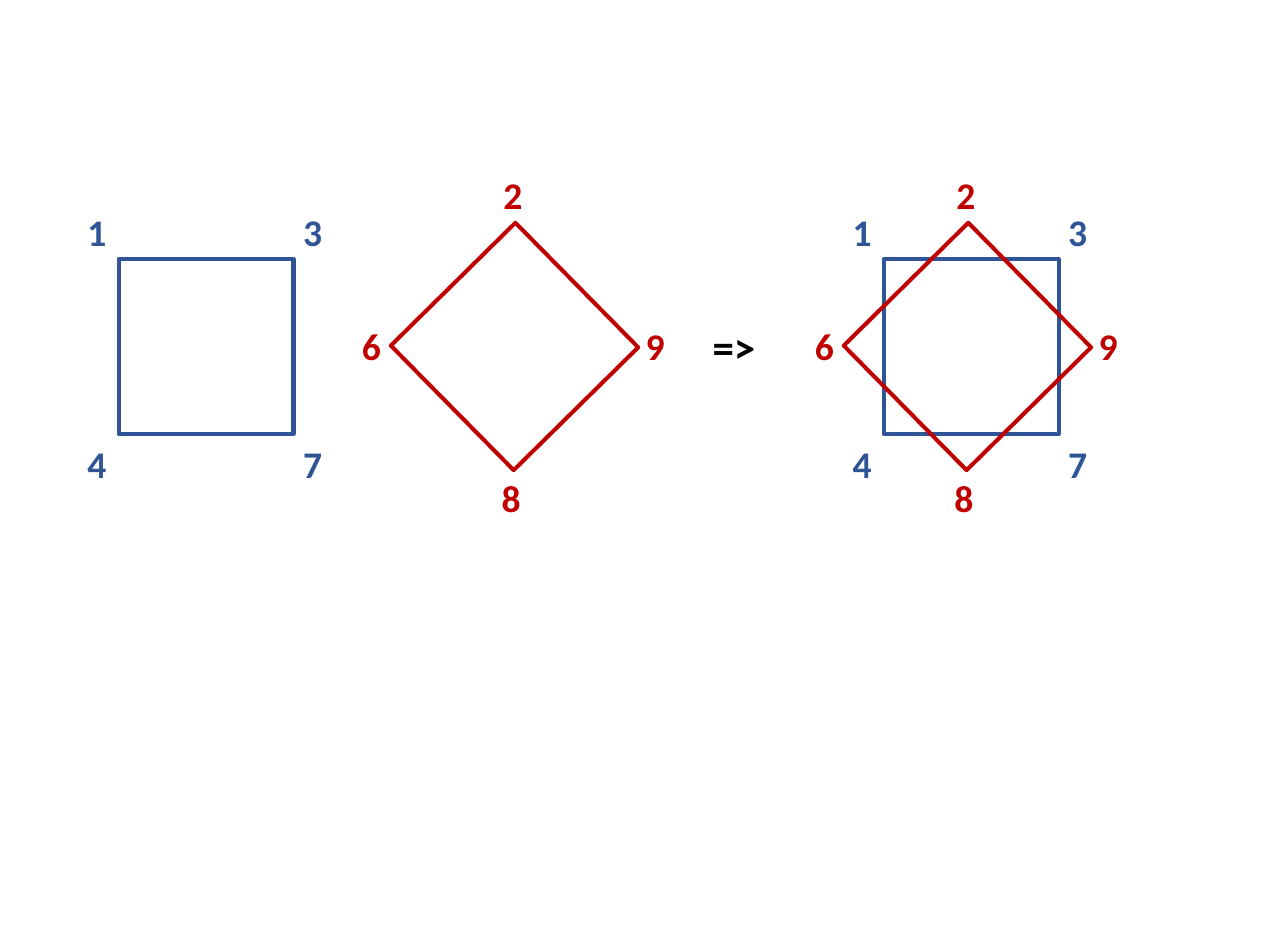
from pptx import Presentation
from pptx.dml.color import RGBColor
from pptx.enum.shapes import MSO_SHAPE as Preset
from pptx.enum.text import MSO_AUTO_SIZE as AutoSize
from pptx.util import Cm, Pt

COLORS = {"blue": "2F5597", "red": "C00000", "black": "000000"}
SLIDE_SIZE = (33.87, 25)
SIDE = 4.6
SQUARE_TOP = 6.81
LABEL_SIZE = (1.07, 1.45)
ARROW = ("=>", 18.49, 8.31, 2.11, 1.63)

# Label offsets are measured from the top left corner of the unrotated square.
FIGURES = {
    "square": {
        "color": "blue",
        "rotation": 0,
        "labels": [("1", -1.07, -1.45), ("3", SIDE, -1.45),
                   ("4", -1.07, 4.65), ("7", SIDE, 4.65)],
    },
    "diamond": {
        "color": "red",
        "rotation": 45.4,
        "labels": [("2", 1.76, -2.41), ("9", 5.5, 1.55),
                   ("8", 1.71, 5.54), ("6", -1.96, 1.55)],
    },
}
GROUPS = [
    [("square", 3.12)],
    [("diamond", 11.23)],
    [("square", 23.24), ("diamond", 23.14)],
]


def add_label(shapes, text, left, top, width, height, size, color):
    """Add a bold one-line text box."""
    box = shapes.add_textbox(Cm(left), Cm(top), Cm(width), Cm(height))
    text_frame = box.text_frame
    text_frame.text = text
    text_frame.word_wrap = False
    text_frame.auto_size = AutoSize.SHAPE_TO_FIT_TEXT
    font = text_frame.paragraphs[0].runs[0].font
    font.name = "Calibri"
    font.size = Pt(size)
    font.bold = True
    font.color.rgb = RGBColor.from_string(COLORS[color])


def add_figure(shapes, name, left):
    figure = FIGURES[name]
    shape = shapes.add_shape(Preset.RECTANGLE, Cm(left), Cm(SQUARE_TOP), Cm(SIDE), Cm(SIDE))
    shape.rotation = figure["rotation"]
    shape.shadow.inherit = False
    shape.fill.background()
    shape.line.color.rgb = RGBColor.from_string(COLORS[figure["color"]])
    shape.line.width = Pt(3)
    for text, across, down in figure["labels"]:
        add_label(shapes, text, left + across, SQUARE_TOP + down, *LABEL_SIZE, 28, figure["color"])


def main():
    presentation = Presentation()
    presentation.slide_width, presentation.slide_height = map(Cm, SLIDE_SIZE)
    slide = presentation.slides.add_slide(presentation.slide_layouts[6])
    add_label(slide.shapes, *ARROW, 32, "black")
    for figures in GROUPS:
        group = slide.shapes.add_group_shape()
        for name, left in figures:
            add_figure(group.shapes, name, left)
    presentation.save("out.pptx")


if __name__ == "__main__":
    main()
